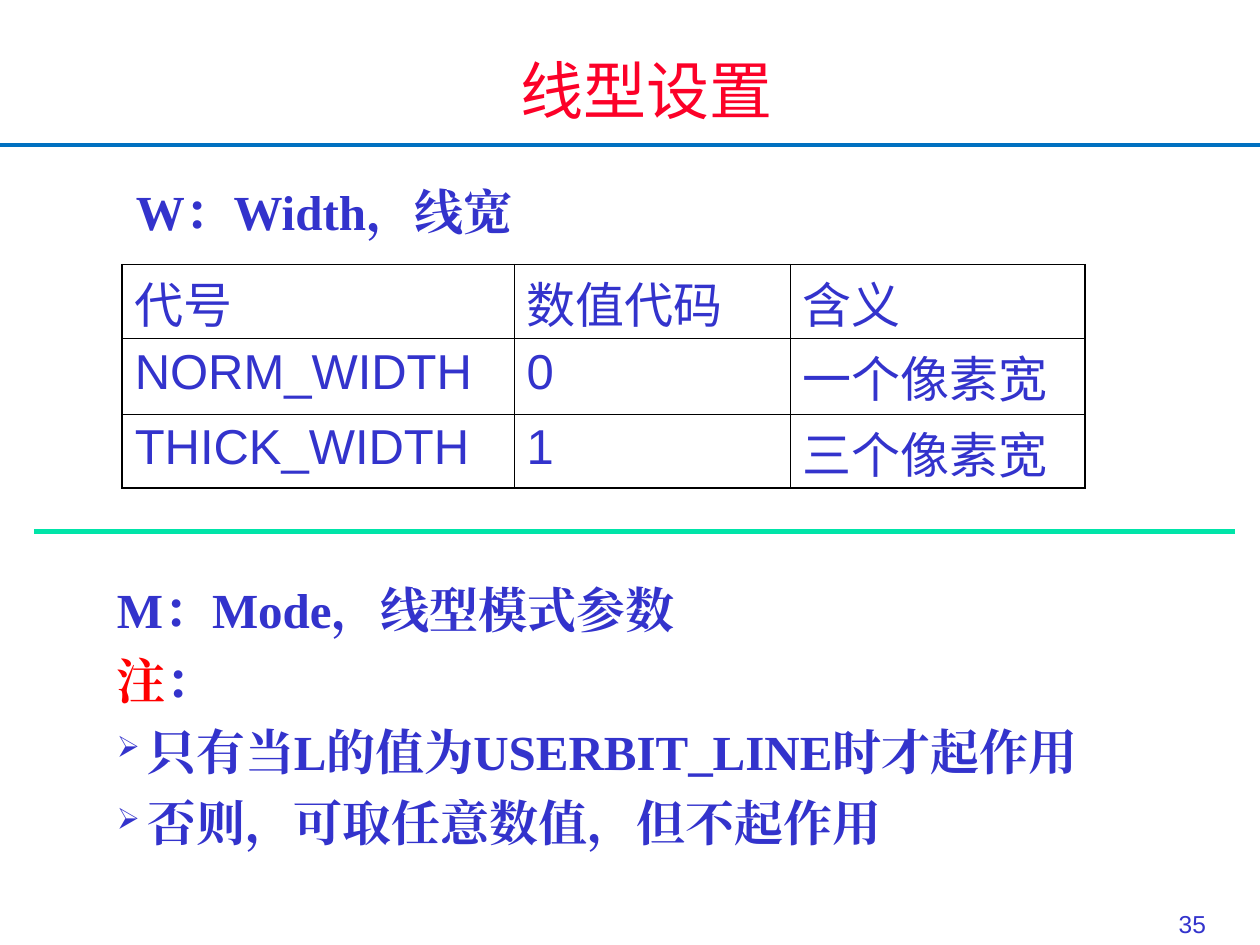
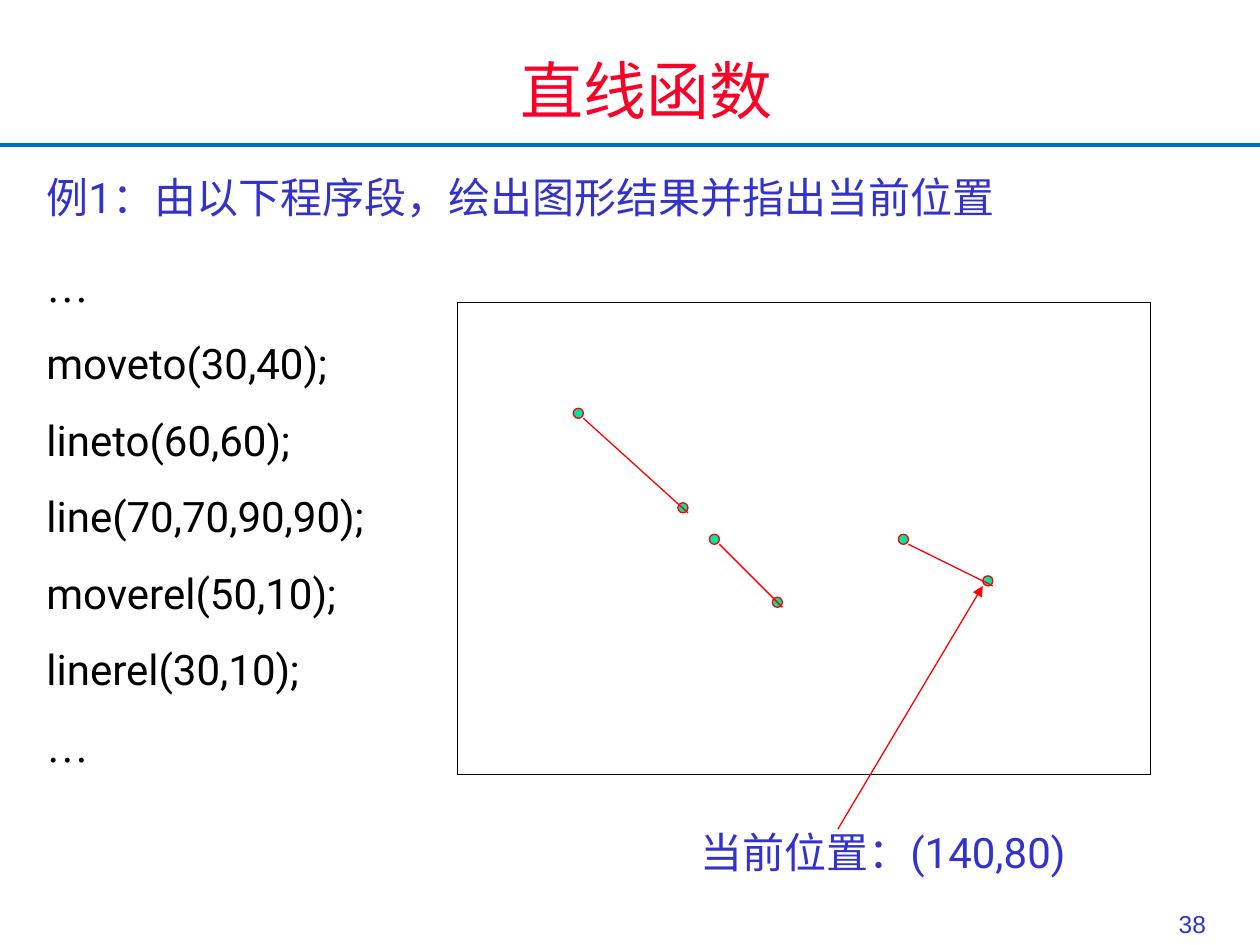
"""Build two slides on line styles and line-drawing functions."""
from lxml import etree
from pptx import Presentation
from pptx.dml.color import RGBColor
from pptx.enum.lang import MSO_LANGUAGE_ID as LANG
from pptx.enum.shapes import MSO_CONNECTOR as CONN, MSO_SHAPE as SHAPE
from pptx.enum.text import MSO_ANCHOR as ANCHOR, PP_ALIGN as ALIGN
from pptx.oxml.ns import qn
from pptx.util import Emu, Pt

PX = 9144
BLUE, TITLE_RED, RED, BLACK = "3333CC", "FC0128", "FF0000", "000000"
RULE_BLUE, GREEN, WHITE = "0070C0", "00E4A8", "FFFFFF"
SERIF, SANS, CODE, HAN = "Times New Roman", "Arial", "Roboto", "Noto Sans CJK SC"

WIDTH_HEAD = "W：Width，线宽"
WIDTH_TABLE = [
    ("代号", "数值代码", "含义"),
    ("NORM_WIDTH", "0", "一个像素宽"),
    ("THICK_WIDTH", "1", "三个像素宽"),
]
COL_WIDTHS, ROW_HEIGHTS = (311, 219, 234), (57, 60, 57)
MODE_HEAD = "M：Mode，线型模式参数"
MODE_NOTE = [("注", RED), ("：", BLUE)]
MODE_RULES = ["只有当L的值为USERBIT_LINE时才起作用", "否则，可取任意数值，但不起作用"]

EXAMPLE = "例1：由以下程序段，绘出图形结果并指出当前位置"
PROGRAM = ["…", "moveto(30,40);", "lineto(60,60);", "line(70,70,90,90);",
           "moverel(50,10);", "linerel(30,10);", "…"]
POSITION = "当前位置：(140,80)"
DOT = 8
SEGMENTS = [((455, 324), (538, 399)), ((563, 424), (613, 474)), ((713, 424), (780, 457))]


def px(n):
    return Emu(n * PX)


def rgb(color):
    return RGBColor.from_string(color)


def write(p, text, size=28, font=SERIF, color=BLUE, bold=False, before=0, align=None):
    """Add text, a string or (string, colour) pairs, to a paragraph."""
    p.space_before = Pt(before)
    if align is not None:
        p.alignment = align
    for part, part_color in [(text, color)] if isinstance(text, str) else text:
        r = p.add_run()
        r.text = part
        f = r.font
        f.size, f.name, f.bold = Pt(size), font, bold
        f.color.rgb = rgb(part_color)
        f.language_id = LANG.SIMPLIFIED_CHINESE
        latin = r._r.rPr.find(qn("a:latin"))
        ea = etree.Element(qn("a:ea"), typeface=font)
        latin.addnext(ea)


def bullet(p):
    """Give a paragraph a hanging arrow bullet."""
    pPr = p._p.get_or_add_pPr()
    pPr.set("marL", str(24 * PX))
    pPr.set("indent", str(-24 * PX))
    clr = etree.SubElement(pPr, qn("a:buClr"))
    etree.SubElement(clr, qn("a:srgbClr"), val=BLUE)
    etree.SubElement(pPr, qn("a:buSzPct"), val="60000")
    etree.SubElement(pPr, qn("a:buChar"), char="➢")


def text_box(s, box, paragraphs, gap=0, anchor=ANCHOR.TOP):
    """Add a text box holding (text, format) paragraphs."""
    tf = s.shapes.add_textbox(*map(px, box)).text_frame
    tf.word_wrap, tf.vertical_anchor = True, anchor
    for i, (text, fmt) in enumerate(paragraphs):
        p = tf.add_paragraph() if i else tf.paragraphs[0]
        fmt = dict(fmt)
        if fmt.pop("bulleted", False):
            bullet(p)
        write(p, text, before=gap if i else 0, **fmt)


def line(s, start, end, color, width, arrow=False):
    sp = s.shapes.add_connector(CONN.STRAIGHT, *map(px, (*start, *end)))
    sp.line.color.rgb, sp.line.width = rgb(color), Pt(width)
    if arrow:
        etree.SubElement(sp.line._get_or_add_ln(), qn("a:tailEnd"), type="triangle")
    etree.SubElement(sp._element.spPr, qn("a:effectLst"))


def shape(s, kind, box, color, fill=None):
    sp = s.shapes.add_shape(kind, *map(px, box))
    sp.shadow.inherit = False
    sp.line.color.rgb, sp.line.width = rgb(color), Pt(0.75)
    if fill:
        sp.fill.solid()
        sp.fill.fore_color.rgb = rgb(fill)
    else:
        sp.fill.background()


def border(cell, widths):
    """Draw black left, right, top and bottom cell borders."""
    tcPr = cell._tc.get_or_add_tcPr()
    for i, (side, width) in enumerate(zip("LRTB", widths)):
        ln = etree.Element(qn(f"a:ln{side}"), w=str(Pt(width)))
        fill = etree.SubElement(ln, qn("a:solidFill"))
        etree.SubElement(fill, qn("a:srgbClr"), val=BLACK)
        tcPr.insert(i, ln)


def width_table(s):
    rows, cols = len(ROW_HEIGHTS), len(COL_WIDTHS)
    box = (97, 210, sum(COL_WIDTHS), sum(ROW_HEIGHTS))
    table = s.shapes.add_table(rows, cols, *map(px, box)).table
    table.first_row = table.horz_banding = False
    for col, width in zip(table.columns, COL_WIDTHS):
        col.width = px(width)
    for i, (row, height) in enumerate(zip(table.rows, ROW_HEIGHTS)):
        row.height = px(height)
        for j, cell in enumerate(row.cells):
            text = WIDTH_TABLE[i][j]
            top, bottom = (5, 5) if text.isascii() else (12, 0)
            cell.margin_left = cell.margin_right = px(10)
            cell.margin_top, cell.margin_bottom = px(top), px(bottom)
            cell.fill.background()
            outer = (j == 0, j == cols - 1, i == 0, i == rows - 1)
            border(cell, [1.08 if edge else 0.45 for edge in outer])
            write(cell.text_frame.paragraphs[0], text, font=SANS)


def new_slide(prs, title, number):
    """Add a slide with the shared title, rule and page number."""
    s = prs.slides.add_slide(prs.slide_layouts[5])
    line(s, (0, 115), (1000, 115), RULE_BLUE, 2)
    sp = s.shapes.title
    sp.left, sp.top, sp.width, sp.height = map(px, (122, 37, 782, 68))
    sp.fill.solid()
    sp.fill.fore_color.rgb = rgb(WHITE)
    sp.text_frame.vertical_anchor = ANCHOR.MIDDLE
    write(sp.text_frame.paragraphs[0], title, size=36, font=HAN, color=TITLE_RED,
          align=ALIGN.CENTER)
    page = dict(size=14, font=SANS, align=ALIGN.RIGHT)
    text_box(s, (914, 700, 53, 50), [(number, page)], anchor=ANCHOR.BOTTOM)
    return s


def line_style_slide(prs):
    s = new_slide(prs, "线型设置", "35")
    strong = dict(bold=True)
    text_box(s, (98, 139, 358, 57), [(WIDTH_HEAD, strong)])
    width_table(s)
    line(s, (27, 422), (980, 422), GREEN, 3)
    rules = [(rule, dict(bold=True, bulleted=True)) for rule in MODE_RULES]
    text_box(s, (83, 455, 817, 226),
             [(MODE_HEAD, strong), (MODE_NOTE, strong), *rules], gap=7)


def line_function_slide(prs):
    s = new_slide(prs, "直线函数", "38")
    label = dict(size=24, font=CODE)
    text_box(s, (27, 131, 825, 50), [(EXAMPLE, label)])
    code = [(t, dict(size=24, color=BLACK, font=CODE if t.isascii() else SERIF))
            for t in PROGRAM]
    text_box(s, (27, 202, 325, 415), code, gap=15)
    text_box(s, (546, 651, 325, 50), [(POSITION, label)])
    shape(s, SHAPE.RECTANGLE, (363, 240, 550, 375), BLACK)
    for ends in SEGMENTS:
        for x, y in ends:
            shape(s, SHAPE.OVAL, (x, y, DOT, DOT), RED, GREEN)
        line(s, *[(x + DOT, y + DOT) for x, y in ends], RED, 0.75)
    x, y = SEGMENTS[-1][1]
    line(s, (665, 658), (x, y + DOT), RED, 0.75, arrow=True)


def main():
    prs = Presentation()
    prs.slide_width, prs.slide_height = px(1000), px(750)
    line_style_slide(prs)
    line_function_slide(prs)
    prs.save("out.pptx")


if __name__ == "__main__":
    main()
